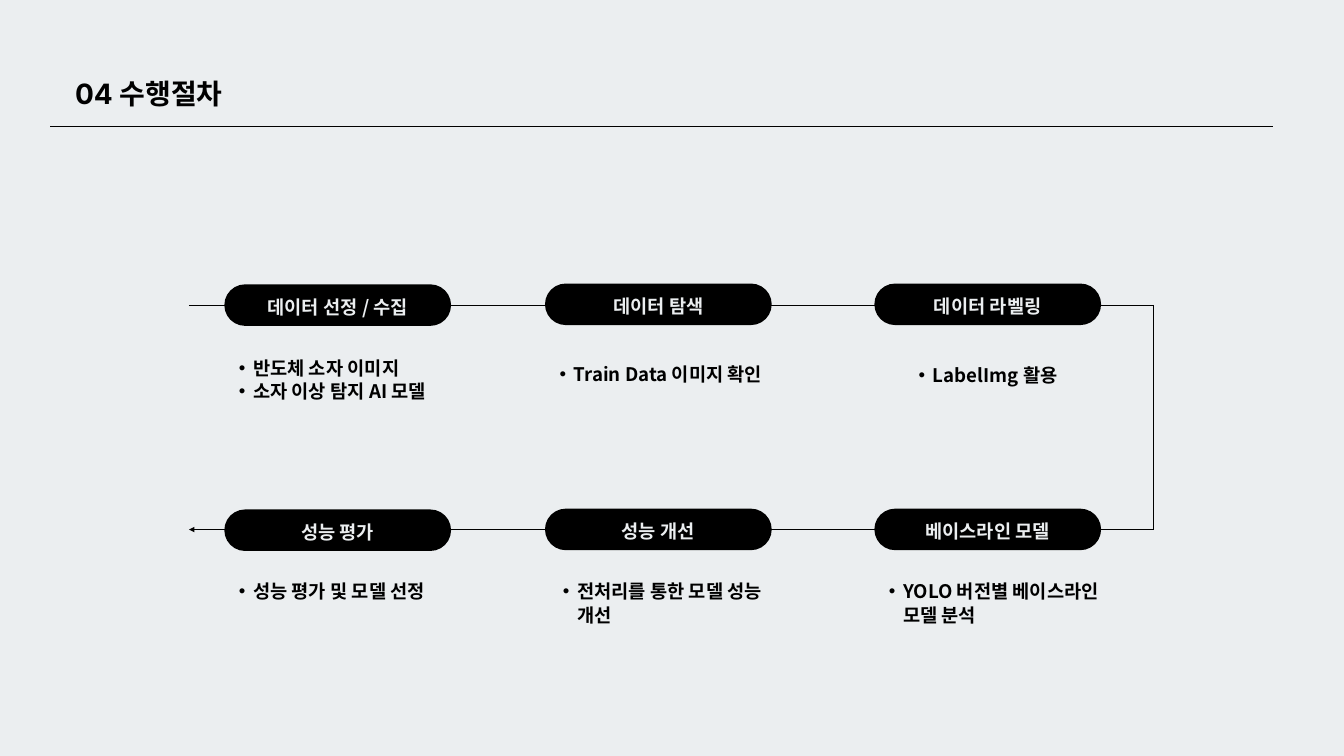
from typing import NamedTuple

import pptx
import pptx.dml.color
import pptx.enum.shapes
import pptx.enum.text
import pptx.oxml.ns
import pptx.util
from lxml import etree
from pptx.util import Cm, Pt

BLACK = "000000"
PALE = "EBEEF0"
BODY_FONT = "Noto Sans CJK SC"

PILL_WIDTH, PILL_HEIGHT = 8.57, 1.57
COLUMNS = (8.48, 20.6, 33.05)
ROWS = (10.72, 19.23)
ROUTE_LEFT, ROUTE_RIGHT = 7.14, 43.61
ROUTE_ROWS = (11.53, 20.02)
NOTE_WIDTH = 8.56


class Step(NamedTuple):
    """A process step; positions are in centimetres."""
    title: str
    column: int
    row: int
    notes: tuple[str, ...]
    note_top: float
    note_shift: float = 0
    pill_drop: float = 0


STEPS = (
    Step("데이터 선정 / 수집", 0, 0,
         ("반도체 소자 이미지", "소자 이상 탐지 AI 모델"), 13.44, pill_drop=0.03),
    Step("데이터 탐색", 1, 0, ("Train Data 이미지 확인",), 13.69),
    Step("데이터 라벨링", 2, 0, ("LabelImg 활용",), 13.72, note_shift=1.12),
    Step("베이스라인 모델", 2, 1, ("YOLO 버전별 베이스라인 모델 분석",), 21.89),
    Step("성능 개선", 1, 1, ("전처리를 통한 모델 성능 개선",), 21.89, note_shift=0.13),
    Step("성능 평가", 0, 1, ("성능 평가 및 모델 선정",), 21.89, pill_drop=0.03),
)


def colour(hex_code: str) -> pptx.dml.color.RGBColor:
    return pptx.dml.color.RGBColor.from_string(hex_code)


def add_child(parent, tag: str, **attributes: str):
    return etree.SubElement(parent, pptx.oxml.ns.qn(tag), attributes)


def write_text(shape, *lines: str, size: float = 20, font: str = BODY_FONT,
               fill: str = BLACK, spacing: float = 25.2, align=None,
               anchor=pptx.enum.text.MSO_ANCHOR.TOP, bullet: str = "") -> None:
    frame = shape.text_frame
    frame.word_wrap = True
    frame.vertical_anchor = anchor
    frame.margin_left = frame.margin_right = frame.margin_top = frame.margin_bottom = 0
    for index, line in enumerate(lines):
        paragraph = frame.add_paragraph() if index else frame.paragraphs[0]
        if bullet:
            properties = paragraph._p.get_or_add_pPr()
            properties.set("marL", str(Cm(1.09)))
            properties.set("indent", str(-Cm(0.54)))
            add_child(properties, "a:buFont", typeface="Arial")
            add_child(properties, "a:buChar", char=bullet)
            paragraph.level = 1
        paragraph.alignment = align
        paragraph.line_spacing = Pt(spacing)
        run = paragraph.add_run()
        run.text = line
        run.font.size = Pt(size)
        run.font.bold = True
        run.font.color.rgb = colour(fill)
        run.font.name = font
        add_child(run._r.get_or_add_rPr(), "a:ea", typeface=font)


def add_line(slide, x1: float, y1: float, x2: float, y2: float,
             arrow_at_start: bool = False) -> None:
    line = slide.shapes.add_connector(
        pptx.enum.shapes.MSO_CONNECTOR.STRAIGHT, Cm(x1), Cm(y1), Cm(x2), Cm(y2))
    line.line.color.rgb = colour(BLACK)
    line.line.width = Pt(0.75)
    if arrow_at_start:
        add_child(line.line._get_or_add_ln(), "a:headEnd", type="triangle")
    add_child(line._element.spPr, "a:effectLst")


def add_step(slide, step: Step) -> None:
    left = COLUMNS[step.column]
    pill = slide.shapes.add_shape(
        pptx.enum.shapes.MSO_SHAPE.ROUNDED_RECTANGLE,
        Cm(left), Cm(ROWS[step.row] + step.pill_drop), Cm(PILL_WIDTH), Cm(PILL_HEIGHT))
    pill.adjustments[0] = 0.5
    pill.shadow.inherit = False
    pill.fill.solid()
    pill.fill.fore_color.rgb = colour(BLACK)
    pill.line.fill.background()
    write_text(pill, step.title, fill=PALE, spacing=28,
               align=pptx.enum.text.PP_ALIGN.CENTER,
               anchor=pptx.enum.text.MSO_ANCHOR.MIDDLE)

    notes = slide.shapes.add_textbox(
        Cm(left + step.note_shift), Cm(step.note_top),
        Cm(NOTE_WIDTH), Cm(0.89 * len(step.notes)))
    write_text(notes, *step.notes, bullet="•")


def main() -> None:
    deck = pptx.Presentation()
    deck.slide_width, deck.slide_height = Cm(50.8), Cm(28.58)
    slide = deck.slides.add_slide(deck.slide_layouts[6])
    slide.background.fill.solid()
    slide.background.fill.fore_color.rgb = colour(PALE)

    # Heading and rule
    heading = slide.shapes.add_textbox(Cm(2.84), Cm(2.67), Cm(8.26), Cm(1.37))
    write_text(heading, "04 수행절차", size=30, font="Inter", spacing=42)
    add_line(slide, 1.9, 4.77, 48.1, 4.77)

    # Route: right along the first row, down, and back along the second
    upper, lower = ROUTE_ROWS
    add_line(slide, ROUTE_LEFT, upper, ROUTE_RIGHT, upper)
    add_line(slide, ROUTE_RIGHT, upper, ROUTE_RIGHT, lower)
    add_line(slide, ROUTE_LEFT, lower, ROUTE_RIGHT, lower, arrow_at_start=True)

    # Steps
    for step in STEPS:
        add_step(slide, step)

    deck.save("out.pptx")


if __name__ == "__main__":
    main()
